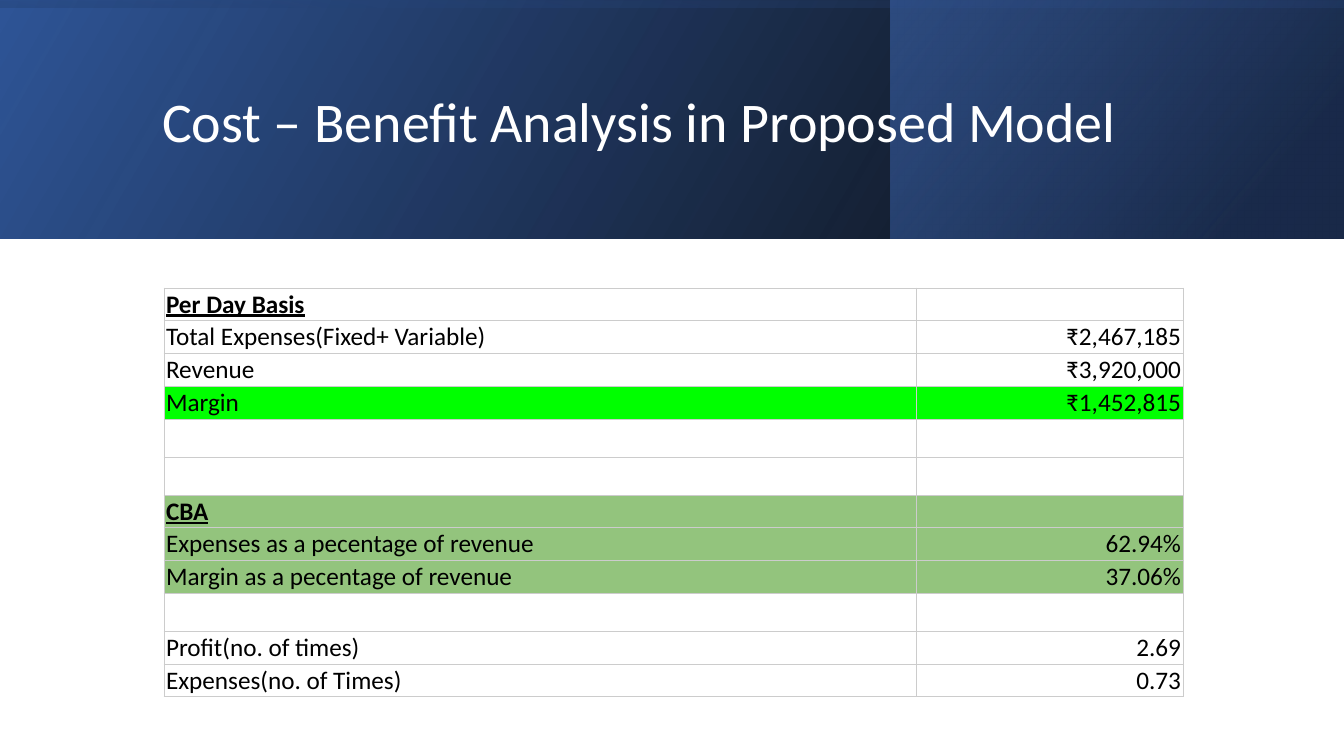
"""Builds the cost-benefit analysis slide with a gradient banner and a table."""
import lxml.etree
import pptx
import pptx.dml.color
import pptx.enum.shapes
import pptx.enum.text
import pptx.oxml.ns
import pptx.util

RGB = pptx.dml.color.RGBColor
WHITE = RGB(0xFF, 0xFF, 0xFF)
BLACK = RGB(0x00, 0x00, 0x00)
NAVY = RGB(0x20, 0x38, 0x64)
DEEP_BLUE = RGB(0x2F, 0x55, 0x97)
BLUE = RGB(0x44, 0x72, 0xC4)
BRIGHT_GREEN = RGB(0x00, 0xFF, 0x00)
SOFT_GREEN = RGB(0x93, 0xC4, 0x7D)
GRID_GREY = RGB(0xCC, 0xCC, 0xCC)


def px(length):
    return pptx.util.Emu(round(length * 914400 / 100.8))


def add_xml(parent, tag, **attributes):
    values = {name: str(value) for name, value in attributes.items()}
    return lxml.etree.SubElement(parent, pptx.oxml.ns.qn(tag), values)


class SlideBuilder:
    def __init__(self, slide, font="Calibri"):
        self.slide = slide
        self.font = font

    def style(self, paragraph, size, color, heading=False):
        font = paragraph.font
        font.name, font.size = self.font, pptx.util.Pt(size)
        font.color.rgb = color
        font.bold = font.underline = heading

    def band(self, box, angle, stops, rotation=0):
        band = self.slide.shapes.add_shape(
            pptx.enum.shapes.MSO_SHAPE.RECTANGLE, *map(px, box))
        band.shadow.inherit = False
        band.line.fill.background()
        band.rotation = rotation
        band.fill.gradient()
        properties = band.element.spPr
        properties.find(pptx.oxml.ns.qn("a:xfrm")).set("flipH", "1")
        gradient = properties.find(pptx.oxml.ns.qn("a:gradFill"))
        for child in list(gradient):
            gradient.remove(child)
        stop_list = add_xml(gradient, "a:gsLst")
        for position, color, opacity in stops:
            stop = add_xml(stop_list, "a:gs", pos=position * 1000)
            tint = add_xml(stop, "a:srgbClr", val=color)
            add_xml(tint, "a:alpha", val=opacity * 1000)
        add_xml(gradient, "a:lin", ang=angle * 60000, scaled=0)

    def title(self, text, box):
        title = self.slide.shapes.title
        title.left, title.top, title.width, title.height = map(px, box)
        frame = title.text_frame
        frame.text = text
        frame.word_wrap = True
        frame.auto_size = pptx.enum.text.MSO_AUTO_SIZE.NONE
        frame.vertical_anchor = pptx.enum.text.MSO_ANCHOR.MIDDLE
        paragraph = frame.paragraphs[0]
        paragraph.alignment = pptx.enum.text.PP_ALIGN.LEFT
        paragraph.line_spacing = 0.9
        self.style(paragraph, 40, WHITE)
        self.slide.shapes.element.append(title.element)

    def cell(self, cell, text, alignment, fill, heading):
        cell.text = text
        cell.vertical_anchor = pptx.enum.text.MSO_ANCHOR.BOTTOM
        cell.margin_left = cell.margin_right = px(2)
        cell.margin_top = cell.margin_bottom = px(1)
        paragraph = cell.text_frame.paragraphs[0]
        paragraph.alignment = alignment
        self.style(paragraph, 18, BLACK, heading)
        properties = cell._tc.get_or_add_tcPr()
        for side in ("a:lnL", "a:lnR", "a:lnT", "a:lnB"):
            border = add_xml(properties, side, w=pptx.util.Pt(0.75))
            add_xml(add_xml(border, "a:solidFill"), "a:srgbClr", val=GRID_GREY)
        if fill is None:
            cell.fill.background()
        else:
            cell.fill.solid()
            cell.fill.fore_color.rgb = fill

    def table(self, rows, left, top, widths, row_height, blank_height):
        heights = [row_height if label else blank_height for label, *_ in rows]
        table = self.slide.shapes.add_table(
            len(rows), len(widths), px(left), px(top),
            px(sum(widths)), px(sum(heights))).table
        table.first_row = table.horz_banding = False
        for column, width in zip(table.columns, widths):
            column.width = px(width)
        align = pptx.enum.text.PP_ALIGN
        for row, height, (label, value, fill) in zip(table.rows, heights, rows):
            row.height = px(height)
            heading = bool(label) and not value
            self.cell(row.cells[0], label, align.LEFT, fill, heading)
            self.cell(row.cells[1], value, align.RIGHT, fill, False)


BLANK = ("", "", None)
COST_BENEFIT = [
    ("Per Day Basis", "", None),
    ("Total Expenses(Fixed+ Variable)", "₹2,467,185", None),
    ("Revenue", "₹3,920,000", None),
    ("Margin", "₹1,452,815", BRIGHT_GREEN),
    BLANK,
    BLANK,
    ("CBA", "", SOFT_GREEN),
    ("Expenses as a pecentage of revenue", "62.94%", SOFT_GREEN),
    ("Margin as a pecentage of revenue", "37.06%", SOFT_GREEN),
    BLANK,
    ("Profit(no. of times)", "2.69", None),
    ("Expenses(no. of Times)", "0.73", None),
]

presentation = pptx.Presentation()
presentation.slide_width, presentation.slide_height = px(1344), px(756)
builder = SlideBuilder(
    presentation.slides.add_slide(presentation.slide_layouts[5]))
builder.band((0, 0, 1344, 239), 330, [(0, BLACK, 96), (100, DEEP_BLUE, 100)])
builder.band((891, 0, 452, 239), 320, [(19, NAVY, 68), (100, BLUE, 48)])
builder.band((552, -552, 239, 1344), 350,
             [(23, DEEP_BLUE, 16), (99, BLACK, 45)], rotation=270)
builder.title("Cost – Benefit Analysis in Proposed Model", (152, 38, 1072, 173))
builder.table(COST_BENEFIT, 164, 288, (752, 267), 32, 38)
presentation.save("out.pptx")
